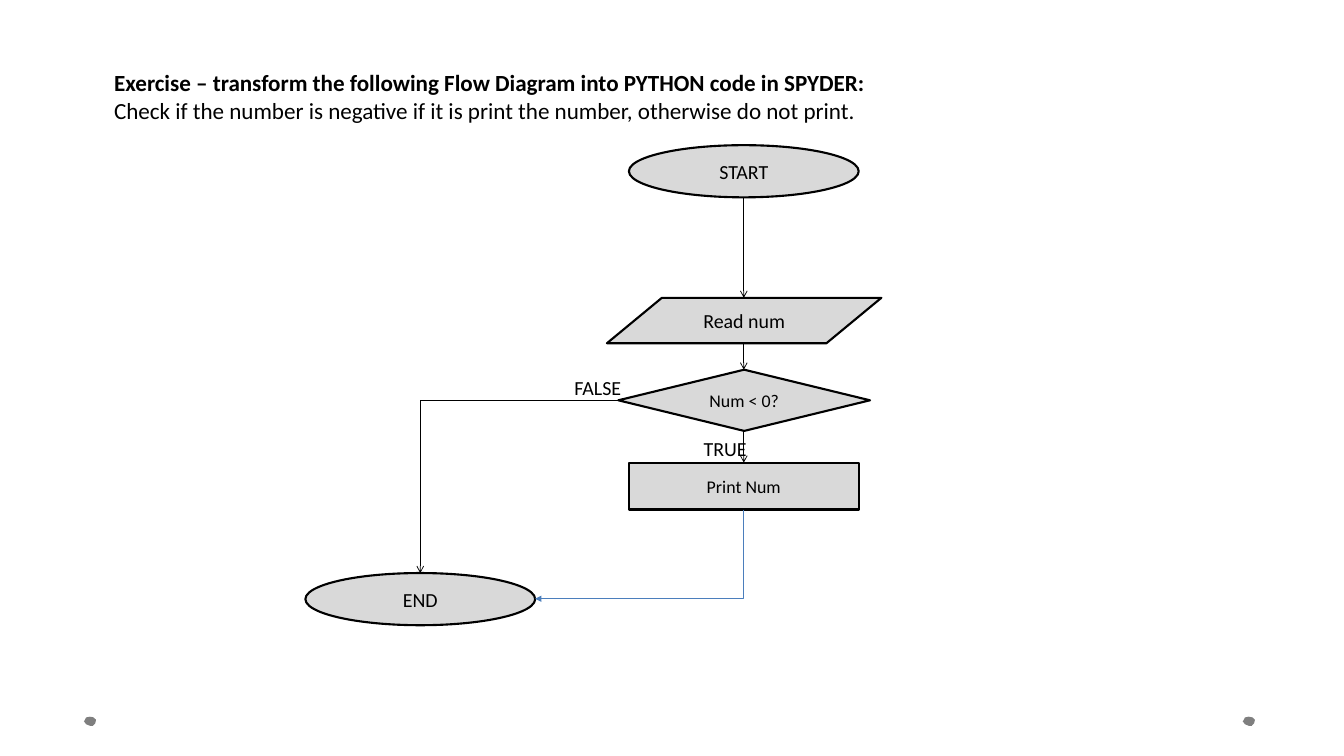
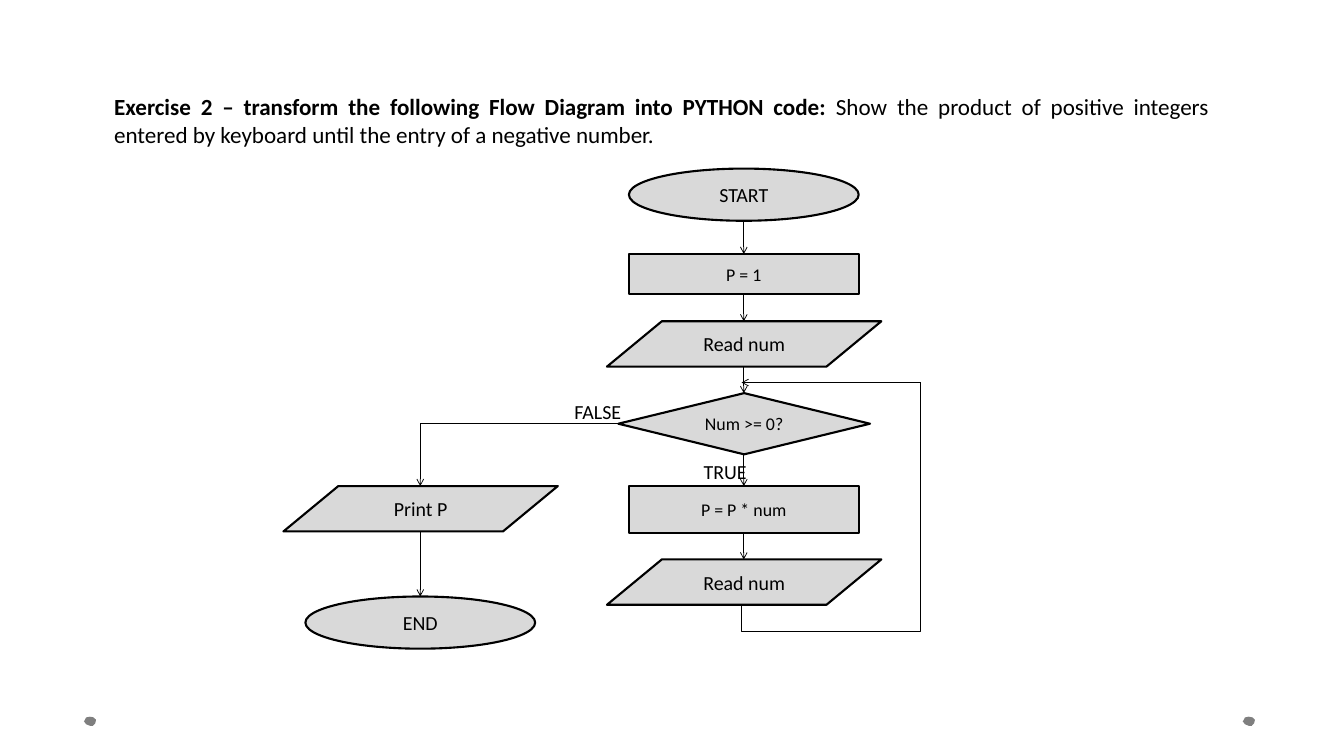
from dataclasses import dataclass

from lxml import etree
from pptx import Presentation
from pptx.dml.color import RGBColor
from pptx.enum.shapes import MSO_CONNECTOR, MSO_SHAPE
from pptx.enum.text import MSO_ANCHOR, MSO_AUTO_SIZE, PP_ALIGN
from pptx.oxml.ns import qn
from pptx.util import Pt

PX = 9144  # EMU per px, 100 px to the inch
STRAIGHT, ELBOW = MSO_CONNECTOR.STRAIGHT, MSO_CONNECTOR.ELBOW
TERMINAL, STEP = MSO_SHAPE.OVAL, MSO_SHAPE.RECTANGLE
DATA, DECISION = MSO_SHAPE.FLOWCHART_DATA, MSO_SHAPE.FLOWCHART_DECISION
MIDDLE, FIT = MSO_ANCHOR.MIDDLE, MSO_AUTO_SIZE.SHAPE_TO_FIT_TEXT
LEFT, CENTER, JUSTIFY = PP_ALIGN.LEFT, PP_ALIGN.CENTER, PP_ALIGN.JUSTIFY

# Width, height and text size of each flowchart symbol
SYMBOLS = {
    TERMINAL: (304, 69, 19),
    STEP: (304, 62, 17),
    DATA: (363, 60, 19),
    DECISION: (333, 81, 17),
}
MAIN_AXIS, SIDE_AXIS = 984, 556
DOT_OUTLINE = [(8, 0), (3, 1), (1, 5), (0, 6), (3, 10), (8, 12),
               (12, 12), (15, 9), (16, 5), (16, 4), (13, 1)]


@dataclass(frozen=True)
class Theme:
    font: str = "Calibri"
    ink: str = "000000"
    node: str = "D9D9D9"
    accent: str = "4B7EBC"
    dot: str = "7F7F7F"
    statement_size: int = 22
    label_size: int = 19
    outline: float = 2
    flow: float = 0.75


@dataclass(frozen=True)
class Node:
    x: int
    top: int
    width: int
    height: int

    @property
    def bottom(self):
        return self.top + self.height

    @property
    def middle(self):
        return self.top + self.height // 2

    @property
    def left(self):
        return self.x - self.width // 2

    @property
    def right(self):
        return self.left + self.width


class FlowDeck:
    def __init__(self, theme):
        self.theme = theme
        self.deck = Presentation()
        self.deck.slide_width, self.deck.slide_height = 1778 * PX, 1000 * PX
        self.slide = None

    def new_slide(self):
        self.slide = self.deck.slides.add_slide(self.deck.slide_layouts[6])
        for x in (1644, 111):
            self.dot(x, 948)

    def dot(self, x, y):
        first, *others = [(x + dx, y + dy) for dx, dy in DOT_OUTLINE]
        builder = self.slide.shapes.build_freeform(*first, scale=PX)
        builder.add_line_segments(others, close=True)
        dot = builder.convert_to_shape()
        dot.shadow.inherit = False
        dot.fill.solid()
        dot.fill.fore_color.rgb = RGBColor.from_string(self.theme.dot)
        dot.line.fill.background()

    def set_margins(self, frame):
        frame.margin_left = frame.margin_right = 16 * PX
        frame.margin_top = frame.margin_bottom = 8 * PX

    def format_run(self, run, size, bold=False):
        run.font.name = self.theme.font
        run.font.size = Pt(size)
        run.font.bold = bold
        run.font.color.rgb = RGBColor.from_string(self.theme.ink)

    def text(self, x, y, width, height, paragraphs, size, align, wrap):
        """Each paragraph is a list of (words, bold) pairs."""
        box = self.slide.shapes.add_textbox(x * PX, y * PX, width * PX, height * PX)
        frame = box.text_frame
        self.set_margins(frame)
        frame.word_wrap = wrap
        frame.auto_size = FIT
        for index, pieces in enumerate(paragraphs):
            paragraph = frame.add_paragraph() if index else frame.paragraphs[0]
            paragraph.alignment = align
            for words, bold in pieces:
                run = paragraph.add_run()
                run.text = words
                self.format_run(run, size, bold)

    def statement(self, y, paragraphs):
        self.text(135, y, 1480, 90, paragraphs, self.theme.statement_size, JUSTIFY, True)

    def label(self, x, y, width, words):
        self.text(x, y, width, 48, [[(words, False)]], self.theme.label_size, LEFT, False)

    def node(self, symbol, words, axis, top, height=None):
        width, usual_height, size = SYMBOLS[symbol]
        node = Node(axis, top, width, height or usual_height)
        shape = self.slide.shapes.add_shape(
            symbol, node.left * PX, top * PX, width * PX, node.height * PX)
        shape.shadow.inherit = False
        shape.fill.solid()
        shape.fill.fore_color.rgb = RGBColor.from_string(self.theme.node)
        shape.line.color.rgb = RGBColor.from_string(self.theme.ink)
        shape.line.width = Pt(self.theme.outline)
        frame = shape.text_frame
        self.set_margins(frame)
        frame.vertical_anchor = MIDDLE
        frame.text = words
        frame.paragraphs[0].alignment = CENTER
        self.format_run(frame.paragraphs[0].runs[0], size)
        return node

    def arrow(self, start, end, kind=STRAIGHT, color=None, tip="arrow"):
        (x1, y1), (x2, y2) = start, end
        line = self.slide.shapes.add_connector(kind, x1 * PX, y1 * PX, x2 * PX, y2 * PX)
        line.line.color.rgb = RGBColor.from_string(color or self.theme.ink)
        line.line.width = Pt(self.theme.flow)
        properties = line._element.spPr
        if tip:
            etree.SubElement(properties.find(qn("a:ln")), qn("a:tailEnd"), type=tip)
        etree.SubElement(properties, qn("a:effectLst"))
        return line

    def corner(self, start, end, **style):
        """One bend, leaving sideways."""
        line = self.arrow(start, end, ELBOW, **style)
        line._element.spPr.find(qn("a:prstGeom")).set("prst", "bentConnector2")
        return line

    def turn_upright(self, line, flip):
        """Makes a bent line leave vertically: a quarter turn about its centre."""
        width, height = line.width, line.height
        line.left += (width - height) // 2
        line.top += (height - width) // 2
        line.width, line.height = height, width
        frame = line._element.spPr.find(qn("a:xfrm"))
        frame.set("rot", "5400000")
        for side in ("flipH", "flipV"):
            frame.set(side, str(int(flip)))

    def loop(self, start, end, overshoot):
        """Dips below the start, then rises to the end."""
        line = self.arrow(start, end, ELBOW, tip=None)
        self.turn_upright(line, flip=True)
        guides = line._element.spPr.find(qn("a:prstGeom")).find(qn("a:avLst"))
        share = round(-100000 * overshoot / (start[1] - end[1]))
        etree.SubElement(guides, qn("a:gd"), name="adj1", fmla=f"val {share}")

    def chain(self, *nodes):
        for upper, lower in zip(nodes, nodes[1:]):
            self.arrow((upper.x, upper.bottom), (lower.x, lower.top))

    def branch(self, decision, target):
        self.corner((decision.left, decision.middle), (target.x, target.top))

    def frame_of_flow(self, top, question, action):
        """The symbols and labels both exercises share, measured from START."""
        start = self.node(TERMINAL, "START", MAIN_AXIS, top)
        read = self.node(DATA, "Read num", MAIN_AXIS, top + 202)
        check = self.node(DECISION, question, MAIN_AXIS, top + 297)
        act = self.node(STEP, action, MAIN_AXIS, top + 420)
        end = self.node(TERMINAL, "END", SIDE_AXIS, top + 566)
        self.chain(read, check, act)
        self.label(915, top + 377, 90, "TRUE")
        self.label(744, top + 297, 95, "FALSE")
        return start, read, check, act, end


def negative_number(deck):
    deck.new_slide()
    deck.statement(83, [
        [("Exercise – transform the following Flow Diagram into PYTHON code in SPYDER:", True)],
        [("Check if the number is negative if it is print the number, "
          "otherwise do not print.", False)],
    ])
    start, read, check, show, end = deck.frame_of_flow(192, "Num < 0?", "Print Num")
    deck.chain(start, read)
    deck.branch(check, end)
    finish = deck.corner((show.x, show.bottom), (end.right, end.middle),
                         color=deck.theme.accent, tip="triangle")
    deck.turn_upright(finish, flip=False)


def product_of_positives(deck):
    deck.new_slide()
    deck.statement(114, [[
        ("Exercise 2 – transform the following Flow Diagram into PYTHON code: ", True),
        ("Show the product of positive integers entered by keyboard "
         "until the entry of a negative number.", False),
    ]])
    start, read, check, multiply, end = deck.frame_of_flow(223, "Num >= 0?", "P = P * num")
    initial = deck.node(STEP, "P = 1", MAIN_AXIS, 336, height=53)
    read_next = deck.node(DATA, "Read num", MAIN_AXIS, 740)
    result = deck.node(DATA, "Print P", SIDE_AXIS, multiply.top)
    deck.chain(start, initial, read)
    deck.chain(multiply, read_next)
    deck.chain(result, end)
    deck.branch(check, result)

    # Back to the check
    loop_x, loop_right, loop_top = 981, 1218, 506
    deck.loop((loop_x, 802), (loop_right, loop_top), overshoot=33)
    deck.arrow((loop_right, loop_top), (loop_x, loop_top))


def main():
    deck = FlowDeck(Theme())
    negative_number(deck)
    product_of_positives(deck)
    deck.deck.save("out.pptx")


if __name__ == "__main__":
    main()
